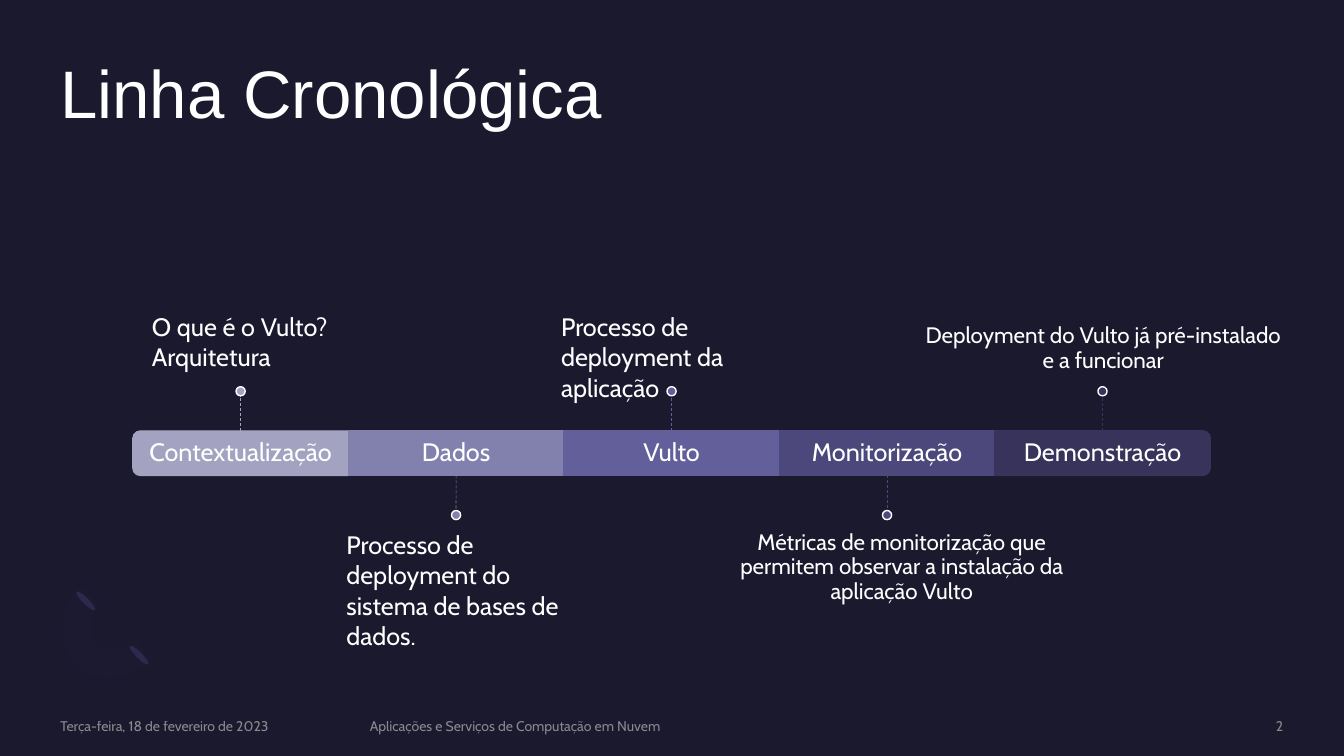
"""Builds a five-step timeline slide with alternating notes."""
from dataclasses import dataclass

import pptx
import pptx.dml.color
import pptx.enum.dml
import pptx.enum.shapes
import pptx.enum.text
import pptx.oxml.ns
import pptx.util
from lxml import etree

Cm = pptx.util.Cm
Pt = pptx.util.Pt
SHAPE = pptx.enum.shapes.MSO_SHAPE
ALIGN = pptx.enum.text.PP_ALIGN
ANCHOR = pptx.enum.text.MSO_ANCHOR
qn = pptx.oxml.ns.qn

WHITE = "FFFFFF"
BAR_LEFT, BAR_TOP, STEP_W, BAR_H = 3.35, 10.86, 5.43, 1.12
STUB, DOT_GAP, DOT = 0.89, 1.0, 0.23


@dataclass
class Note:
    box: tuple[float, float, float, float]
    lines: list[str]
    size: int = 18
    align: ALIGN = ALIGN.LEFT
    anchor: ANCHOR = ANCHOR.TOP
    spacing: float = 1.0
    insets: tuple[float, float, float, float] = (0.25, 0.13, 0.25, 0.13)


@dataclass
class Step:
    label: str
    color: str
    above: bool
    note: Note
    rotation: int = 0


@dataclass
class Footer:
    text: str
    left: float
    width: float
    align: ALIGN = ALIGN.LEFT


STEPS = [
    Step("Contextualização", "A3A3C1", True,
         Note((3.58, 7.72, 5.54, 1.8), ["O que é o Vulto?", "Arquitetura"]), 270),
    Step("Dados", "8281AE", False,
         Note((8.48, 13.21, 6.53, 2.57),
              ["Processo de deployment do sistema de bases de dados."])),
    Step("Vulto", "625F9A", True,
         Note((13.89, 7.72, 7.09, 1.8), ["Processo de deployment da aplicação"])),
    Step("Monitorização", "4C487B", False,
         Note((18.19, 13.06, 9.07, 3.86),
              ["Métricas de monitorização que permitem observar a instalação da aplicação Vulto"],
              16, ALIGN.CENTER, ANCHOR.TOP, 0.9, (0, 0.33, 0, 0))),
    Step("Demonstração", "37335B", True,
         Note((23.27, 5.87, 9.07, 3.86),
              ["Deployment do Vulto já pré-instalado e a funcionar"],
              16, ALIGN.CENTER, ANCHOR.BOTTOM, 0.9, (0, 0, 0, 0.33)), 90),
]

FOOTERS = [
    Footer("Terça-feira, 18 de fevereiro de 2023", 1.52, 7.32),
    Footer("Aplicações e Serviços de Computação em Nuvem", 9.32, 17.73),
    Footer("2", 27.64, 4.7, ALIGN.RIGHT),
]

ARC_START = (1.93, 16.74)
ARC_CURVES = [
    [(1.42, 16.23), (1.47, 15.37), (2.06, 14.78)],
    [(2.51, 15.24), (2.51, 15.24), (2.51, 15.24)],
    [(2.21, 15.52), (2.18, 15.98), (2.44, 16.21)],
    [(2.69, 16.46), (3.12, 16.43), (3.43, 16.15)],
    [(3.86, 16.61), (3.86, 16.61), (3.86, 16.61)],
    [(3.3, 17.17), (2.41, 17.25), (1.93, 16.74)],
]


def paint(target, color: str, alpha: int = 100) -> None:
    target.solid()
    target.fore_color.rgb = pptx.dml.color.RGBColor.from_string(color)
    if alpha < 100:
        clr = target._xPr.find(".//" + qn("a:srgbClr"))
        etree.SubElement(clr, qn("a:alpha")).set("val", str(alpha * 1000))


def add_shape(slide, kind: SHAPE, box: tuple, fill: str, line: str | None = None,
              rotation: float = 0):
    sp = slide.shapes.add_shape(kind, *map(Cm, box))
    sp.shadow.inherit = False
    sp.rotation = rotation
    paint(sp.fill, fill)
    if line:
        paint(sp.line.fill, line)
        sp.line.width = Pt(1)
    else:
        sp.line.fill.background()
    return sp


def write(sp, lines: list[str], size: int, font: str = "Cabin", color: str = WHITE,
          align: ALIGN = ALIGN.LEFT, anchor: ANCHOR = ANCHOR.TOP, spacing: float = 1.0,
          insets: tuple = (0, 0, 0, 0), alpha: int = 100) -> None:
    tf = sp.text_frame
    tf.word_wrap = True
    tf.auto_size = pptx.enum.text.MSO_AUTO_SIZE.NONE
    tf.vertical_anchor = anchor
    tf.margin_left, tf.margin_top, tf.margin_right, tf.margin_bottom = map(Cm, insets)
    tf.text = "\n".join(lines)
    for p in tf.paragraphs:
        p.alignment = align
        p.line_spacing = spacing
        p.font.name = font
        p.font.size = Pt(size)
        paint(p.font.fill, color, alpha)


def add_text(slide, box: tuple, lines: list[str], size: int, **style):
    sp = slide.shapes.add_textbox(*map(Cm, box))
    write(sp, lines, size, **style)
    return sp


def add_decoration(slide) -> None:
    for left, top in ((3.43, 16.18), (2.08, 14.81)):
        add_shape(slide, SHAPE.OVAL, (left, top, 0.15, 0.66), "2C284A", rotation=135)
    points, start = [], ARC_START
    for a, b, end in ARC_CURVES:
        for t in (k / 8 for k in range(1, 9)):
            u = 1 - t
            points.append(tuple(
                Cm(u**3 * s + 3 * u * u * t * c + 3 * u * t * t * d + t**3 * e)
                for s, c, d, e in zip(start, a, b, end)))
        start = end
    builder = slide.shapes.build_freeform(*map(Cm, ARC_START))
    builder.add_line_segments(points, close=True)
    arc = builder.convert_to_shape()
    arc.shadow.inherit = False
    paint(arc.fill, "7771B2", 2)
    arc.line.fill.background()


def add_step(slide, index: int, step: Step) -> None:
    left = BAR_LEFT + index * STEP_W
    center = left + STEP_W / 2
    bar = (left, BAR_TOP, STEP_W, BAR_H)
    if step.rotation:
        turned = (center - BAR_H / 2, BAR_TOP + (BAR_H - STEP_W) / 2, BAR_H, STEP_W)
        add_shape(slide, SHAPE.ROUND_2_SAME_RECTANGLE, turned, step.color, step.color,
                  step.rotation)
    else:
        add_shape(slide, SHAPE.RECTANGLE, bar, step.color, step.color)
    label = add_text(slide, bar, [step.label], 18, align=ALIGN.CENTER,
                     anchor=ANCHOR.MIDDLE, spacing=0.9, insets=(0.38,) * 4)

    edge, way = (BAR_TOP, -1) if step.above else (BAR_TOP + BAR_H, 1)
    stub = slide.shapes.add_connector(
        pptx.enum.shapes.MSO_CONNECTOR.STRAIGHT,
        Cm(center), Cm(edge), Cm(center), Cm(edge + way * STUB))
    stub.begin_connect(label, 0 if step.above else 2)
    paint(stub.line.fill, step.color)
    stub.line.width = Pt(0.5)
    stub.line.dash_style = pptx.enum.dml.MSO_LINE.DASH
    etree.SubElement(stub._element.spPr, qn("a:effectLst"))
    add_shape(slide, SHAPE.OVAL,
              (center - DOT / 2, edge + way * DOT_GAP - DOT / 2, DOT, DOT),
              step.color, WHITE)

    note = step.note
    add_text(slide, note.box, note.lines, note.size, align=note.align,
             anchor=note.anchor, spacing=note.spacing, insets=note.insets)


def main() -> None:
    prs = pptx.Presentation()
    prs.slide_width, prs.slide_height = Cm(33.87), Cm(19.05)
    slide = prs.slides.add_slide(prs.slide_layouts[5])
    paint(slide.background.fill, "1B192E")
    add_decoration(slide)
    title = slide.shapes.title
    title.left, title.top, title.width, title.height = map(Cm, (1.52, 1.52, 30.81, 3.71))
    write(title, ["Linha Cronológica"], 48, font="Arial", spacing=0.9)
    for index, step in enumerate(STEPS):
        add_step(slide, index, step)
    for footer in FOOTERS:
        add_text(slide, (footer.left, 18.08, footer.width, 0.43), [footer.text], 10,
                 color="A6A6A6", alpha=80, align=footer.align, anchor=ANCHOR.MIDDLE)
    prs.save("out.pptx")


if __name__ == "__main__":
    main()
